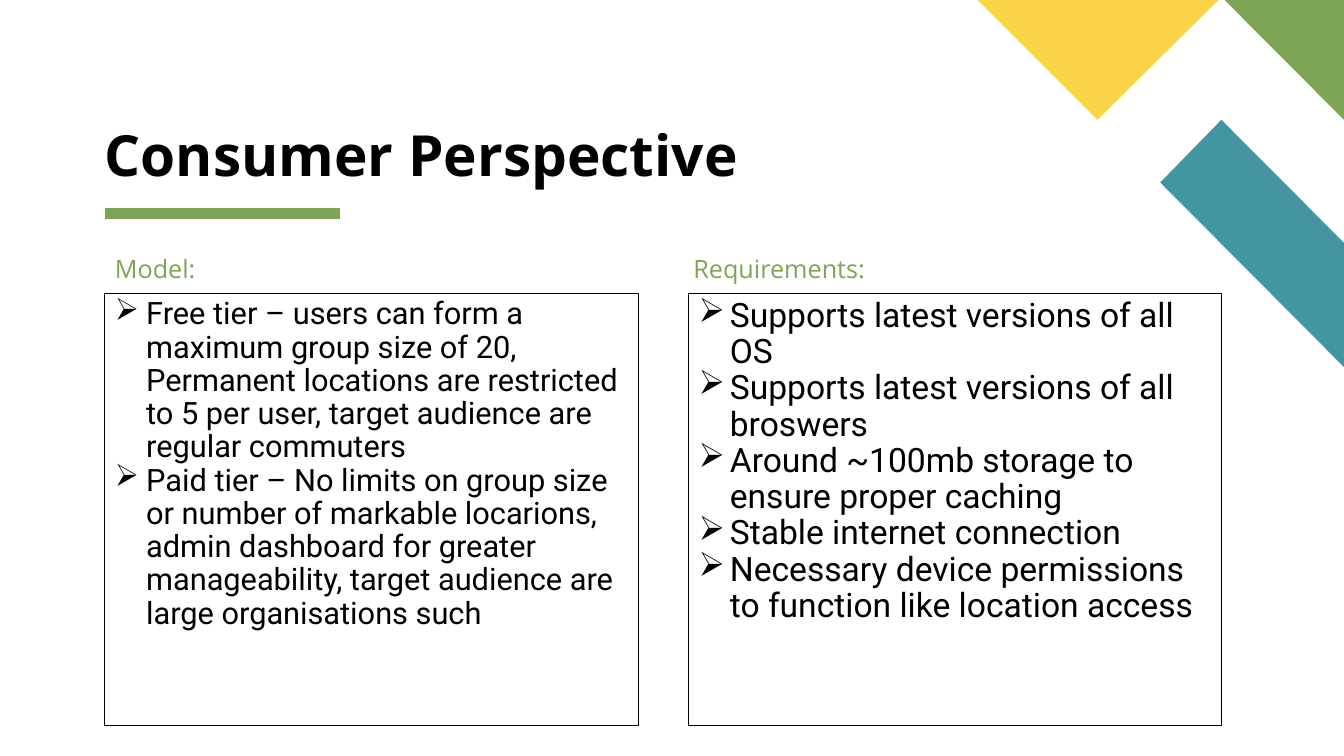
from lxml.etree import SubElement
from pptx import Presentation
from pptx.dml.color import RGBColor
from pptx.enum.shapes import MSO_CONNECTOR
from pptx.enum.text import MSO_ANCHOR, MSO_AUTO_SIZE, PP_ALIGN
from pptx.oxml.ns import qn
from pptx.util import Cm, Pt

BLACK = RGBColor(0x00, 0x00, 0x00)
GREEN = RGBColor(0x7C, 0xA6, 0x55)
TEAL = RGBColor(0x44, 0x95, 0xA2)
YELLOW = RGBColor(0xF9, 0xD4, 0x48)

HEADING_FONT = "Open Sans"
BODY_FONT = "Roboto"

SLIDE_WIDTH = 33.87
LEFT_MARGIN = 2.64
RIGHT_COLUMN = 17.35
HEADING_TOP = 6.35
BOX_TOP = 7.39
BOX_WIDTH = 13.44
BOX_HEIGHT = 10.9
BAND_EDGE = 3.02

DECORATIONS = [
    (TEAL, [(SLIDE_WIDTH, 9.25), (SLIDE_WIDTH, 6.12), (30.78, BAND_EDGE), (29.24, 4.6)]),
    (GREEN, [(SLIDE_WIDTH, BAND_EDGE), (SLIDE_WIDTH, 0), (30.86, 0)]),
    (YELLOW, [(24.64, 0), (27.66, BAND_EDGE), (30.71, 0)]),
]

MODEL = [
    "Free tier – users can form a maximum group size of 20, Permanent locations "
    "are restricted to 5 per user, target audience are regular commuters",
    "Paid tier – No limits on group size or number of markable locarions, admin "
    "dashboard for greater manageability, target audience are large organisations such",
]
REQUIREMENTS = [
    "Supports latest versions of all OS",
    "Supports latest versions of all broswers",
    "Around ~100mb storage to ensure proper caching",
    "Stable internet connection",
    "Necessary device permissions to function like location access",
]


def add_polygon(slide, color, points):
    corners = [(Cm(x), Cm(y)) for x, y in points]
    builder = slide.shapes.build_freeform(*corners[0])
    builder.add_line_segments(corners[1:], close=True)
    shape = builder.convert_to_shape()
    shape.shadow.inherit = False
    shape.fill.solid()
    shape.fill.fore_color.rgb = color
    shape.line.fill.background()


def add_underline(slide, left, top, width):
    line = slide.shapes.add_connector(
        MSO_CONNECTOR.STRAIGHT, Cm(left), Cm(top), Cm(left + width), Cm(top))
    line.line.color.rgb = GREEN
    line.line.width = Pt(8)
    SubElement(line.element.spPr, qn("a:effectLst"))


def fill_placeholder(shape, bounds, lines, font_name, size, color,
                     bold=False, anchor=MSO_ANCHOR.TOP):
    shape.left, shape.top, shape.width, shape.height = map(Cm, bounds)
    frame = shape.text_frame
    frame.text = "\n".join(lines)
    frame.word_wrap = True
    frame.auto_size = MSO_AUTO_SIZE.NONE
    frame.vertical_anchor = anchor
    for paragraph in frame.paragraphs:
        paragraph.alignment = PP_ALIGN.LEFT
        paragraph.line_spacing = 0.9
        paragraph.space_before = paragraph.space_after = Pt(0)
        paragraph.font.name = font_name
        paragraph.font.size = Pt(size)
        paragraph.font.bold = bold
        paragraph.font.color.rgb = color


def add_arrow_bullet(paragraph):
    properties = paragraph._p.get_or_add_pPr()
    properties.set("marL", str(Cm(0.79)))
    properties.set("indent", str(-Cm(0.79)))
    bullet_color = SubElement(properties, qn("a:buClr"))
    SubElement(bullet_color, qn("a:srgbClr"), val=str(BLACK))
    SubElement(properties, qn("a:buFont"), typeface="Wingdings")
    SubElement(properties, qn("a:buChar"), char="Ø")
    default_run = properties.find(qn("a:defRPr"))
    if default_run is not None:
        properties.append(default_run)


def fill_title(shape, text):
    fill_placeholder(shape, (LEFT_MARGIN, 3.05, 16.05, 1.7), [text],
                     HEADING_FONT, 40.5, BLACK, True, MSO_ANCHOR.BOTTOM)
    frame = shape.text_frame
    frame.margin_left = frame.margin_right = Cm(0)
    frame.margin_top = frame.margin_bottom = Cm(0)


def fill_heading(shape, left, text):
    fill_placeholder(shape, (left, HEADING_TOP, BOX_WIDTH, 0.86), [text],
                     HEADING_FONT, 18, GREEN)


def fill_list(shape, left, items, size):
    fill_placeholder(shape, (left, BOX_TOP, BOX_WIDTH, BOX_HEIGHT), items,
                     BODY_FONT, size, BLACK)
    shape.line.color.rgb = BLACK
    shape.line.width = Pt(0.75)
    for paragraph in shape.text_frame.paragraphs:
        add_arrow_bullet(paragraph)


def main():
    presentation = Presentation()
    presentation.slide_width = Cm(SLIDE_WIDTH)
    presentation.slide_height = Cm(19.05)
    comparison_layout = presentation.slide_layouts.get_by_name("Comparison")
    slide = presentation.slides.add_slide(comparison_layout)
    title, model_heading, model_list, needs_heading, needs_list = slide.placeholders

    fill_title(title, "Consumer Perspective")
    fill_heading(model_heading, LEFT_MARGIN, "Model:")
    fill_list(model_list, LEFT_MARGIN, MODEL, 22)
    fill_heading(needs_heading, RIGHT_COLUMN - 0.13, "Requirements:")
    fill_list(needs_list, RIGHT_COLUMN, REQUIREMENTS, 24)

    add_underline(slide, LEFT_MARGIN, 5.38, 5.92)
    for color, points in DECORATIONS:
        add_polygon(slide, color, points)

    presentation.save("out.pptx")


main()
